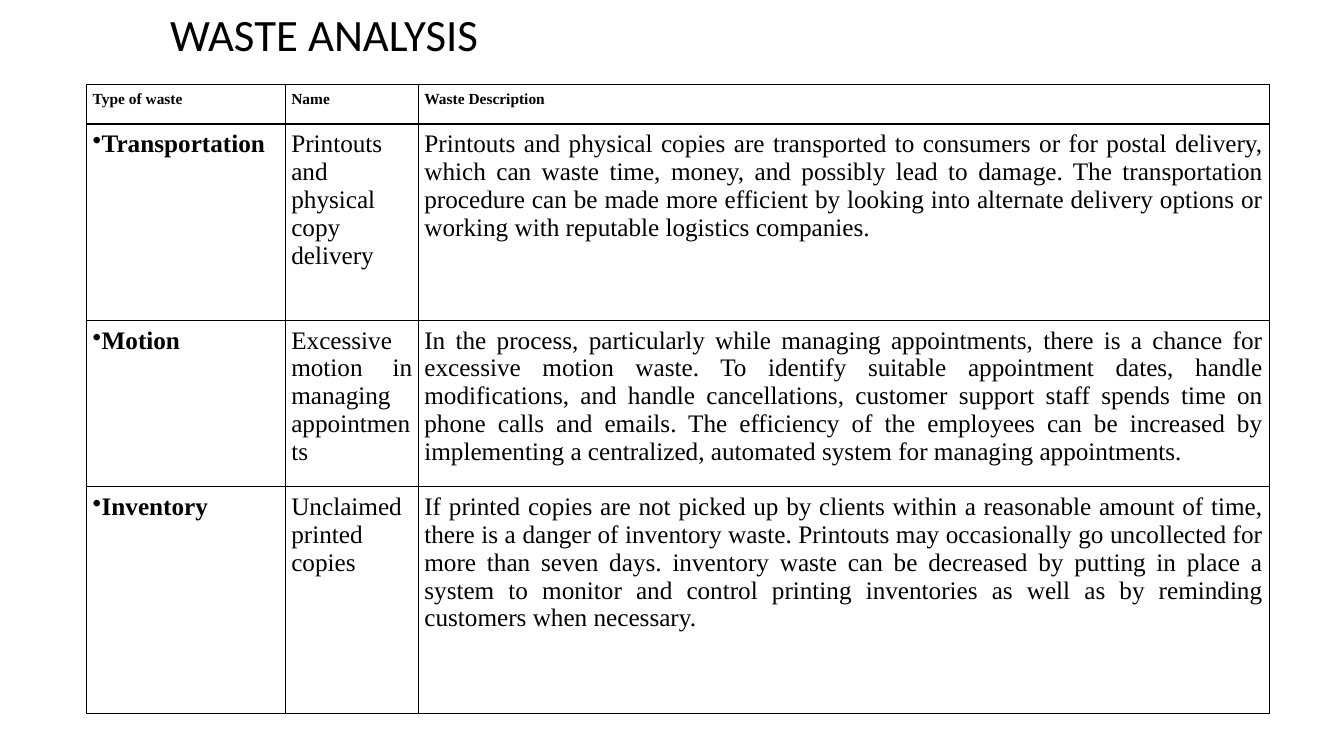
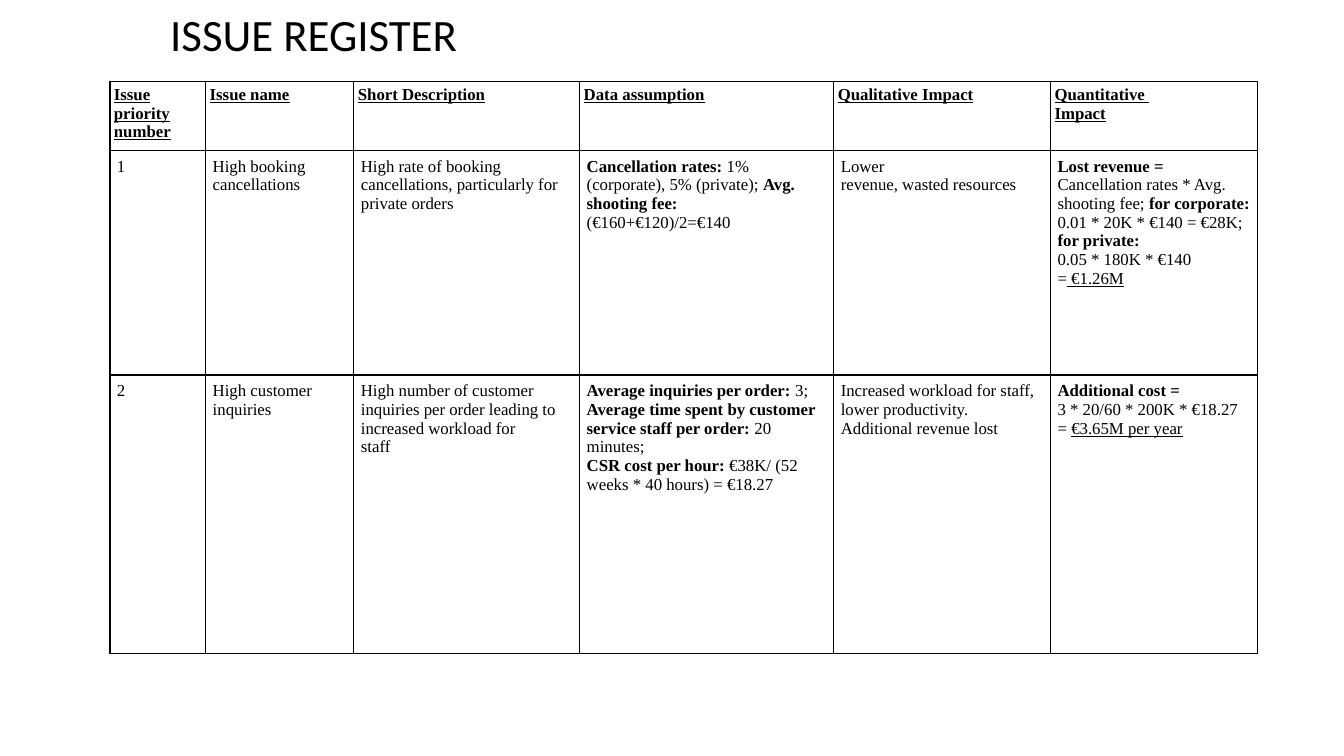
from dataclasses import dataclass

from pptx import Presentation
from pptx.dml.color import RGBColor
from pptx.enum.text import MSO_ANCHOR, PP_ALIGN as Align
from pptx.oxml import parse_xml
from pptx.oxml.ns import nsdecls
from pptx.slide import Slide
from pptx.table import _Cell as Cell
from pptx.util import Inches, Pt


@dataclass(frozen=True)
class Theme:
    ink: str = "000000"
    title_font: str = "Calibri"
    body_font: str = "Times New Roman"
    title_size: int = 32
    border_width: int = 1


@dataclass(frozen=True)
class Span:
    text: str
    bold: bool = False
    underline: bool = False


@dataclass(frozen=True)
class CellStyle:
    size: int
    inset: float
    align: Align = Align.LEFT
    bold: bool = False
    underline: bool = False
    bullet: str = ""


# A cell is plain text, or a list of paragraphs made of spans
Paragraph = list[Span]
Content = str | list[Paragraph]


@dataclass(frozen=True)
class TablePage:
    title: str
    left: float
    top: float
    columns: list[float]
    rows: list[float]
    header: CellStyle
    first_column: CellStyle
    body: CellStyle
    cells: list[list[Content]]


THEME = Theme()


def bold(text: str) -> Span:
    return Span(text, bold=True)


def underlined(text: str) -> Span:
    return Span(text, underline=True)


def plain(*lines: str) -> list[Paragraph]:
    return [[Span(line)] for line in lines]


# Slide content
WASTE_BODY = CellStyle(18, 0.06, Align.JUSTIFY)
WASTE = TablePage(
    title="WASTE ANALYSIS",
    left=0.86,
    top=0.84,
    columns=[1.97, 1.32, 8.44],
    rows=[0.39, 1.95, 1.65, 2.25],
    header=CellStyle(11, 0.06, Align.JUSTIFY, bold=True),
    first_column=CellStyle(18, 0.06, Align.JUSTIFY, bold=True, bullet="•"),
    body=WASTE_BODY,
    cells=[
        ["Type of waste", "Name", "Waste Description"],
        [
            "Transportation",
            "Printouts and physical copy delivery",
            "Printouts and physical copies are transported to consumers or for "
            "postal delivery, which can waste time, money, and possibly lead to "
            "damage. The transportation procedure can be made more efficient by "
            "looking into alternate delivery options or working with reputable "
            "logistics companies.",
        ],
        [
            "Motion",
            "Excessive motion in managing appointments",
            "In the process, particularly while managing appointments, there is a "
            "chance for excessive motion waste. To identify suitable appointment "
            "dates, handle modifications, and handle cancellations, customer "
            "support staff spends time on phone calls and emails. The efficiency "
            "of the employees can be increased by implementing a centralized, "
            "automated system for managing appointments.",
        ],
        [
            "Inventory",
            "Unclaimed printed copies",
            "If printed copies are not picked up by clients within a reasonable "
            "amount of time, there is a danger of inventory waste. Printouts may "
            "occasionally go uncollected for more than seven days. inventory waste "
            "can be decreased by putting in place a system to monitor and control "
            "printing inventories as well as by reminding customers when necessary.",
        ],
    ],
)

ISSUE_BODY = CellStyle(12, 0.07)
ISSUES = TablePage(
    title="ISSUE REGISTER",
    left=1.09,
    top=0.81,
    columns=[0.95, 1.47, 2.24, 2.52, 2.15, 2.05],
    rows=[0.64, 2.23, 2.76],
    header=CellStyle(12, 0.04, bold=True, underline=True),
    first_column=ISSUE_BODY,
    body=ISSUE_BODY,
    cells=[
        [
            "Issue priority number",
            "Issue name",
            "Short Description",
            "Data assumption",
            "Qualitative Impact",
            plain("Quantitative ", "Impact"),
        ],
        [
            "1",
            "High booking cancellations",
            "High rate of booking cancellations, particularly for private orders",
            [
                [
                    bold("Cancellation rates:"),
                    Span(" 1% (corporate), 5% (private); "),
                    bold("Avg. shooting fee:"),
                ],
                [Span("(€160+€120)/2=€140")],
            ],
            plain("Lower", "revenue, wasted resources"),
            [
                [bold("Lost revenue =")],
                [
                    Span("Cancellation rates * Avg. shooting fee; "),
                    bold("for corporate:"),
                ],
                [Span("0.01 * 20K * €140 = €28K; "), bold("for private:")],
                [Span("0.05 * 180K * €140")],
                [Span("="), underlined(" €1.26M")],
            ],
        ],
        [
            "2",
            plain("High customer", "inquiries"),
            plain(
                "High number of customer inquiries per order leading to "
                "increased workload for",
                "staff",
            ),
            [
                [bold("Average inquiries per order: "), Span("3;")],
                [
                    bold("Average time spent by customer service staff per order: "),
                    Span("20 minutes;"),
                ],
                [
                    bold("CSR cost per hour: "),
                    Span("€38K/ (52 weeks * 40 hours) = €18.27"),
                ],
            ],
            "Increased workload for staff, lower productivity. "
            "Additional revenue lost",
            [
                [bold("Additional cost =")],
                [
                    Span("3 * 20/60 * 200K * €18.27 = "),
                    underlined("€3.65M per year"),
                ],
            ],
        ],
    ],
)


# Drawing
def add_title(page: Slide, text: str) -> None:
    box = page.shapes.add_textbox(
        Inches(1.59), Inches(0.08), Inches(10.5), Inches(1.15)
    )
    frame = box.text_frame
    frame.word_wrap = True
    frame.vertical_anchor = MSO_ANCHOR.TOP
    frame.text = text
    para = frame.paragraphs[0]
    para.line_spacing = 0.9
    font = para.runs[0].font
    font.name = THEME.title_font
    font.size = Pt(THEME.title_size)
    font.color.rgb = RGBColor.from_string(THEME.ink)


def add_borders(cell: Cell) -> None:
    properties = cell._tc.get_or_add_tcPr()
    for index, side in enumerate("LRTB"):
        line = parse_xml(
            f'<a:ln{side} {nsdecls("a")} w="{Pt(THEME.border_width)}">'
            f'<a:solidFill><a:srgbClr val="{THEME.ink}"/></a:solidFill>'
            f"</a:ln{side}>"
        )
        properties.insert(index, line)


def fill_cell(cell: Cell, content: Content, style: CellStyle) -> None:
    cell.margin_left = cell.margin_right = Inches(style.inset)
    cell.margin_top = cell.margin_bottom = Inches(style.inset)
    cell.fill.background()
    add_borders(cell)

    lines = plain(content) if isinstance(content, str) else content
    frame = cell.text_frame
    for index, spans in enumerate(lines):
        para = frame.add_paragraph() if index else frame.paragraphs[0]
        para.alignment = style.align
        if style.bullet:
            para._p.get_or_add_pPr().append(
                parse_xml(f'<a:buChar {nsdecls("a")} char="{style.bullet}"/>')
            )
        for span in spans:
            run = para.add_run()
            run.text = span.text
            font = run.font
            font.name = THEME.body_font
            font.size = Pt(style.size)
            font.color.rgb = RGBColor.from_string(THEME.ink)
            font.bold = style.bold or span.bold
            font.underline = style.underline or span.underline


def add_table_page(deck: Presentation, content: TablePage) -> None:
    page = deck.slides.add_slide(deck.slide_layouts[6])
    add_title(page, content.title)
    table = page.shapes.add_table(
        len(content.rows),
        len(content.columns),
        Inches(content.left),
        Inches(content.top),
        Inches(sum(content.columns)),
        Inches(sum(content.rows)),
    ).table
    table.first_row = table.horz_banding = False
    for column, width in zip(table.columns, content.columns):
        column.width = Inches(width)
    for row, height in zip(table.rows, content.rows):
        row.height = Inches(height)

    for row_index, row_cells in enumerate(content.cells):
        for column_index, cell_content in enumerate(row_cells):
            if row_index == 0:
                style = content.header
            elif column_index == 0:
                style = content.first_column
            else:
                style = content.body
            fill_cell(table.cell(row_index, column_index), cell_content, style)


def main() -> None:
    deck = Presentation()
    deck.slide_width = Inches(13.33)
    deck.slide_height = Inches(7.5)
    for content in (WASTE, ISSUES):
        add_table_page(deck, content)
    deck.save("out.pptx")


if __name__ == "__main__":
    main()
